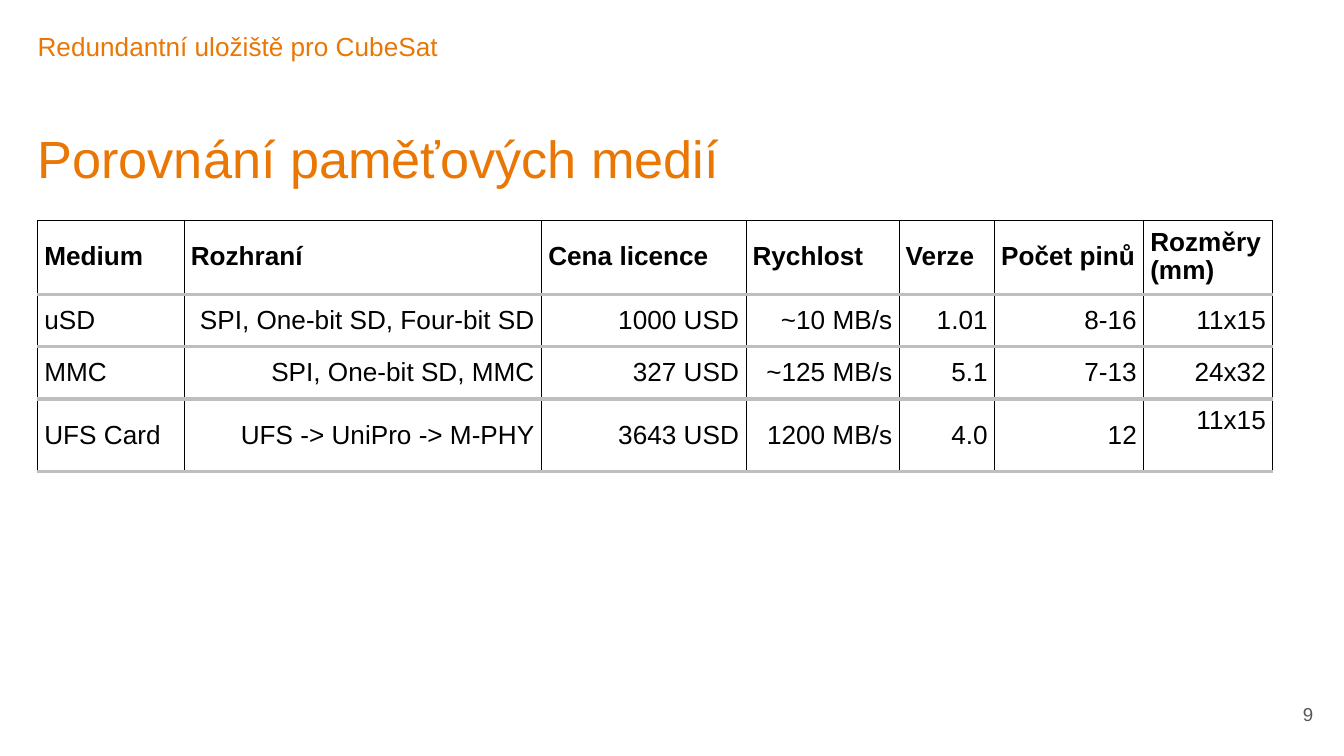
from lxml import etree
from pptx import Presentation
from pptx.dml.color import RGBColor
from pptx.enum.text import MSO_ANCHOR, PP_ALIGN
from pptx.oxml.ns import qn
from pptx.util import Inches, Pt

TOP, MIDDLE, BOTTOM = MSO_ANCHOR.TOP, MSO_ANCHOR.MIDDLE, MSO_ANCHOR.BOTTOM
LEFT, RIGHT = PP_ALIGN.LEFT, PP_ALIGN.RIGHT
TITLE_ONLY = 5
FONT = "Arial"
COLORS = {"accent": "EA7603", "text": "000000", "number": "585858",
          "rule": "BCBEC0", "grid": "000000", "paper": "FFFFFF"}

COLUMN_WIDTHS = [1.09, 2.66, 1.52, 1.14, 0.71, 1.11, 0.96]
ROW_HEIGHTS = [0.53, 0.39, 0.39, 0.54]
MEDIA = [
    ["Medium", "Rozhraní", "Cena licence", "Rychlost", "Verze", "Počet pinů", "Rozměry (mm)"],
    ["uSD", "SPI, One-bit SD, Four-bit SD", "1000 USD", "~10 MB/s", "1.01", "8-16", "11x15"],
    ["MMC", "SPI, One-bit SD, MMC", "327 USD", "~125 MB/s", "5.1", "7-13", "24x32"],
    ["UFS Card", "UFS -> UniPro -> M-PHY", "3643 USD", "1200 MB/s", "4.0", "12", "11x15"],
]


def write_text(frame, text, color, size, align=LEFT, bold=False):
    para = frame.paragraphs[0]
    para.alignment = align
    span = para.add_run()
    span.text = text
    for name, value in {"name": FONT, "size": Pt(size), "bold": bold}.items():
        setattr(span.font, name, value)
    span.font.color.rgb = RGBColor.from_string(COLORS[color])


def set_margins(target, left, top, right, bottom):
    margins = {"left": left, "top": top, "right": right, "bottom": bottom}
    for side, value in margins.items():
        setattr(target, f"margin_{side}", Inches(value))


def place_title(page, box, text):
    title = page.shapes.title
    title.left, title.top, title.width, title.height = map(Inches, box)
    frame = title.text_frame
    frame.word_wrap = True
    frame.vertical_anchor = BOTTOM
    set_margins(frame, 0, 0.1, 0.1, 0.06)
    write_text(frame, text, "accent", 28)


def add_label(page, box, text, color, size, margins, align=LEFT, anchor=TOP):
    frame = page.shapes.add_textbox(*map(Inches, box)).text_frame
    frame.word_wrap = True
    frame.vertical_anchor = anchor
    set_margins(frame, *margins)
    write_text(frame, text, color, size, align)


def set_borders(cell, borders):
    """Draw cell borders; each side maps to a colour name and a width in points."""
    properties = cell._tc.get_or_add_tcPr()
    for position, (side, (color, width)) in enumerate(borders.items()):
        line = etree.Element(qn(f"a:ln{side}"), w=str(Pt(width)))
        fill = etree.SubElement(line, qn("a:solidFill"))
        etree.SubElement(fill, qn("a:srgbClr"), val=COLORS[color])
        properties.insert(position, line)


def add_media_table(page, left, top):
    size = Inches(sum(COLUMN_WIDTHS)), Inches(sum(ROW_HEIGHTS))
    table = page.shapes.add_table(len(MEDIA), len(COLUMN_WIDTHS),
                                  Inches(left), Inches(top), *size).table
    table.first_row = table.horz_banding = False
    for column, width in zip(table.columns, COLUMN_WIDTHS):
        column.width = Inches(width)
    for row, height in zip(table.rows, ROW_HEIGHTS):
        row.height = Inches(height)

    thin, thick = ("grid", 0.23), ("rule", 1.98)
    last_cell = len(MEDIA) - 1, len(COLUMN_WIDTHS) - 1
    for i, values in enumerate(MEDIA):
        header = i == 0
        for j, value in enumerate(values):
            cell = table.cell(i, j)
            cell.fill.solid()
            cell.fill.fore_color.rgb = RGBColor.from_string(COLORS["paper"])
            cell.vertical_anchor = TOP if (i, j) == last_cell else MIDDLE
            set_margins(cell, 0.05, 0.05, 0.05, 0.05)
            align = LEFT if header or j == 0 else RIGHT
            write_text(cell.text_frame, value, "text", 14, align, bold=header)
            if header:
                cell.text_frame.paragraphs[0].line_spacing = 0.96
            set_borders(cell, {"L": thin, "R": thin,
                               "T": thin if header else thick, "B": thick})


def main():
    deck = Presentation()
    deck.slide_width = Inches(10)
    deck.slide_height = deck.slide_width * 9 // 16
    page = deck.slides.add_slide(deck.slide_layouts[TITLE_ONLY])
    add_label(page, (9.5, 5.14, 0.37, 0.35), "9", "number", 10,
              (0.1, 0.1, 0.1, 0.1), RIGHT, MIDDLE)
    place_title(page, (0.28, 0.84, 8.27, 0.63), "Porovnání paměťových medií")
    add_media_table(page, 0.28, 1.64)
    add_label(page, (0.28, 0.23, 8.39, 0.4), "Redundantní uložiště pro CubeSat",
              "accent", 14, (0, 0, 0.1, 0.05))
    deck.save("out.pptx")


if __name__ == "__main__":
    main()
